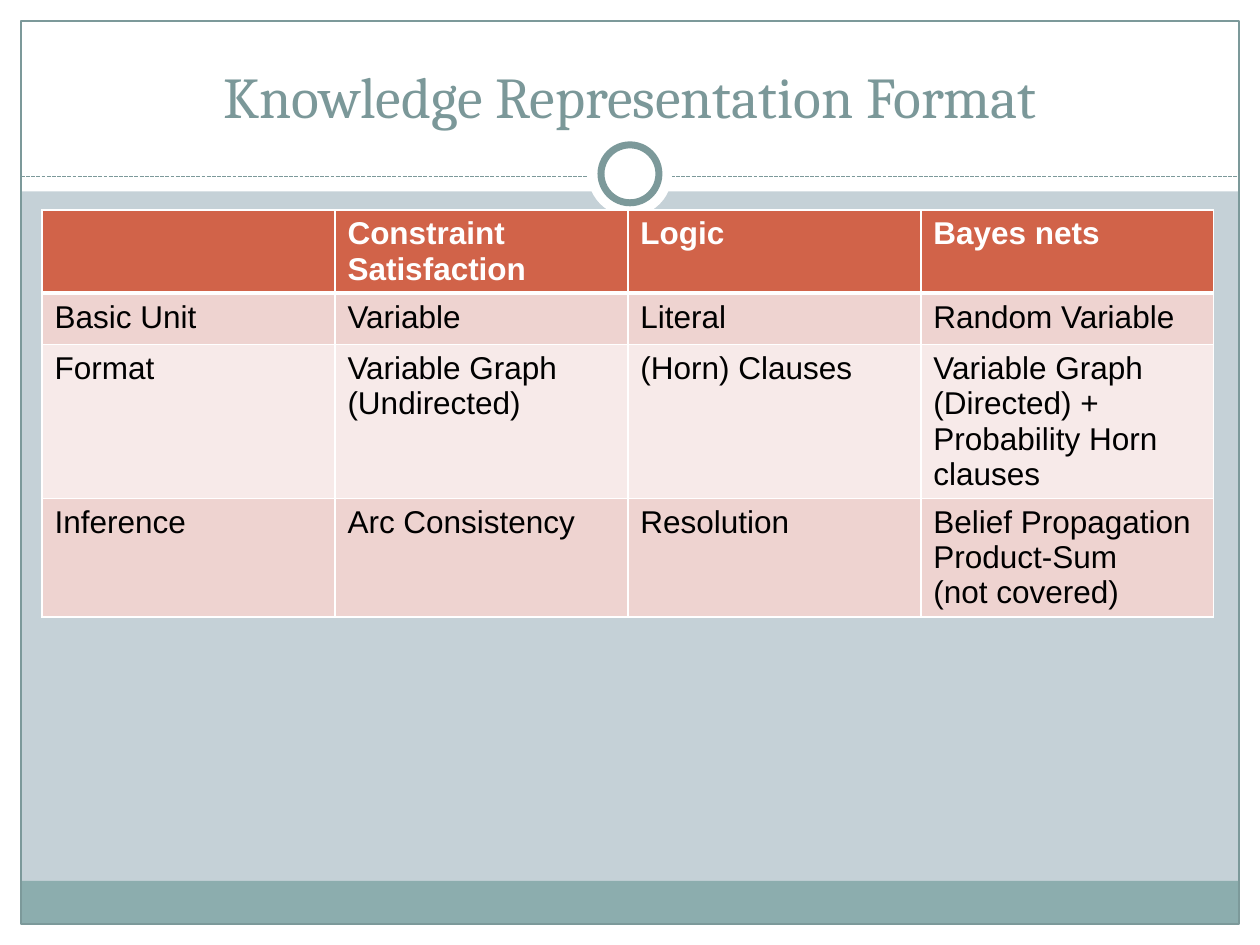
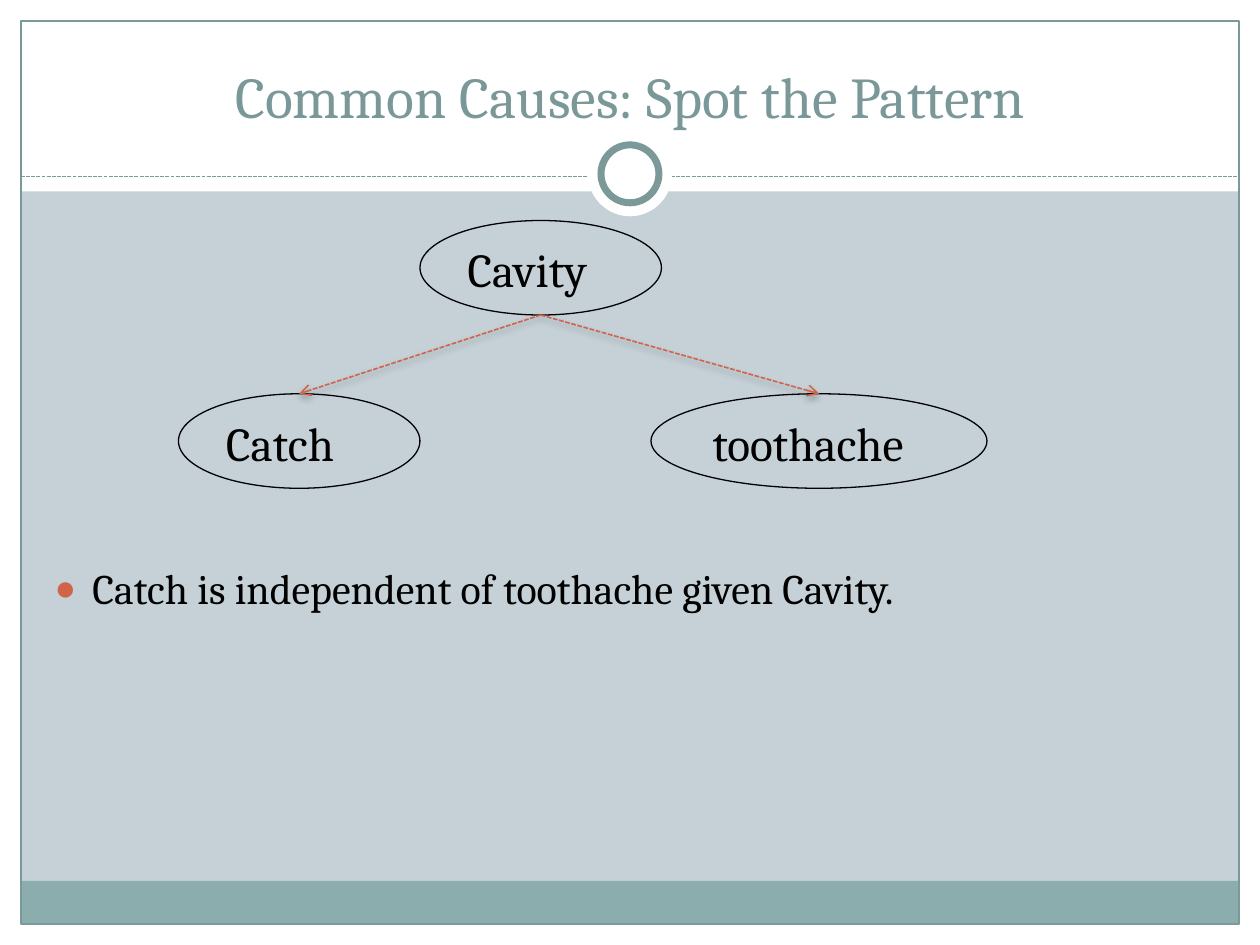
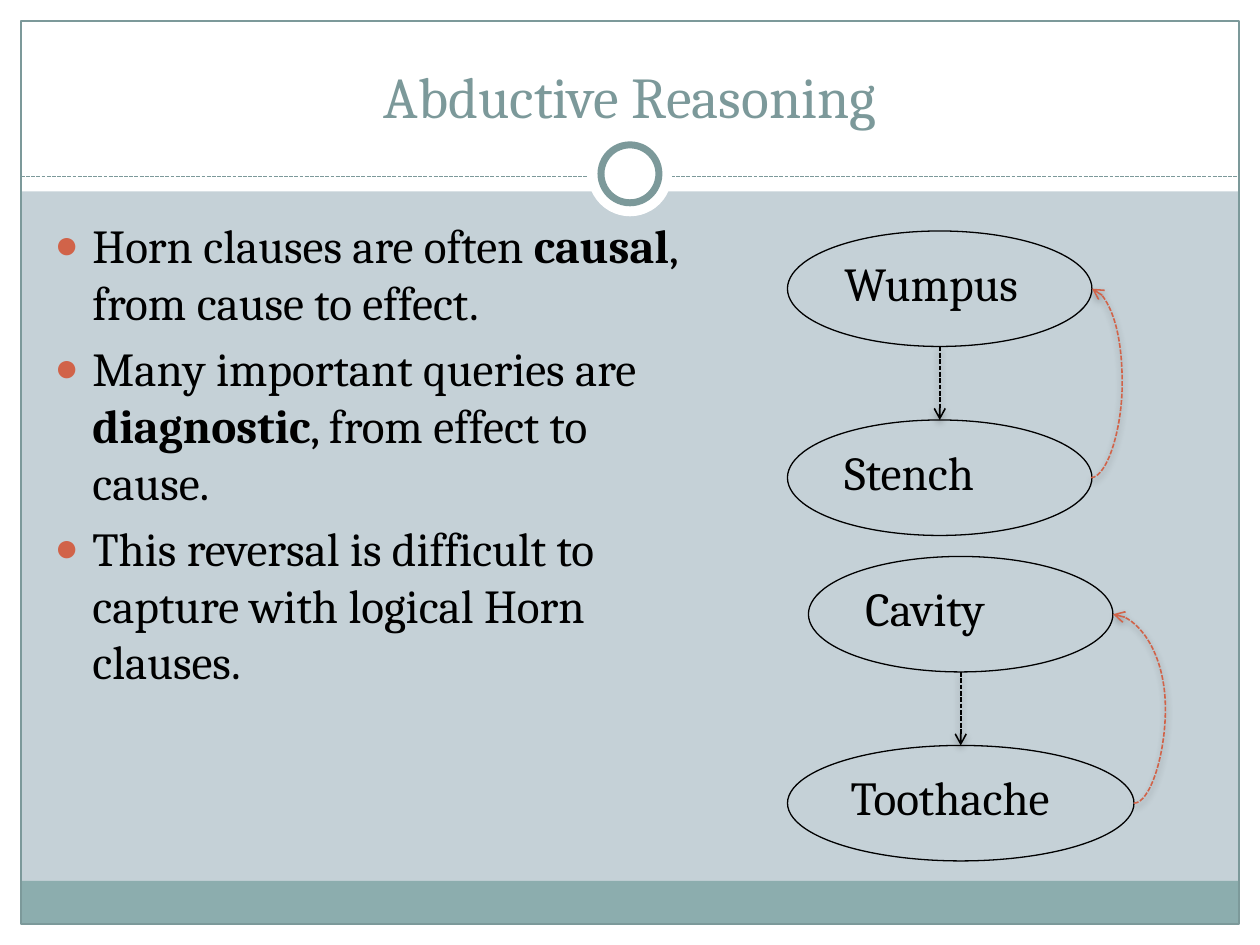
from dataclasses import dataclass

from pptx import Presentation
from pptx.dml.color import RGBColor
from pptx.enum.dml import MSO_LINE
from pptx.enum.shapes import MSO_CONNECTOR, MSO_SHAPE
from pptx.enum.text import MSO_ANCHOR, MSO_AUTO_SIZE, PP_ALIGN
from pptx.oxml import parse_xml
from pptx.oxml.ns import nsdecls, qn
from pptx.util import Emu, Inches, Pt

RECTANGLE, OVAL = MSO_SHAPE.RECTANGLE, MSO_SHAPE.OVAL
STRAIGHT, CURVE = MSO_CONNECTOR.STRAIGHT, MSO_CONNECTOR.CURVE
SHORT_DASH = MSO_LINE.SQUARE_DOT
TOP, BOTTOM = MSO_ANCHOR.TOP, MSO_ANCHOR.BOTTOM
LEFT, CENTER = PP_ALIGN.LEFT, PP_ALIGN.CENTER
NO_AUTOFIT = MSO_AUTO_SIZE.NONE

WHITE = RGBColor(0xFF, 0xFF, 0xFF)
BLACK = RGBColor(0x00, 0x00, 0x00)
PALE_BLUE = RGBColor(0xC5, 0xD1, 0xD7)
TEAL = RGBColor(0x8C, 0xAD, 0xAE)
SLATE = RGBColor(0x7C, 0x99, 0x9A)
TITLE_SLATE = RGBColor(0x7B, 0x98, 0x99)
ORANGE = RGBColor(0xD1, 0x63, 0x49)
ROW_DARK = RGBColor(0xEE, 0xD3, 0xD0)
ROW_LIGHT = RGBColor(0xF7, 0xEA, 0xE9)

SERIF, SANS = "Cambria", "Arial"
COLUMNS, ROWS = 120, 90
SLIDE_WIDTH, SLIDE_HEIGHT = Inches(10), Inches(7.5)
INDENT = Inches(0.3)
BULGE = 3
MINIMUM_SPAN = 0.1


def across(columns: float) -> Emu:
    return Emu(round(SLIDE_WIDTH * columns / COLUMNS))


def down(rows: float) -> Emu:
    return Emu(round(SLIDE_HEIGHT * rows / ROWS))


@dataclass(frozen=True)
class Box:
    left: float
    top: float
    width: float
    height: float

    def lengths(self) -> tuple:
        return across(self.left), down(self.top), across(self.width), down(self.height)

    def top_center(self) -> tuple:
        return self.left + self.width / 2, self.top

    def bottom_center(self) -> tuple:
        return self.left + self.width / 2, self.top + self.height

    def right_middle(self) -> tuple:
        return self.left + self.width, self.top + self.height / 2


@dataclass(frozen=True)
class Panel:
    box: Box
    fill: RGBColor | None = None
    line: RGBColor | None = None
    line_width: float = 0.75
    geometry: int = RECTANGLE


@dataclass(frozen=True)
class Node:
    text: str
    box: Box


@dataclass(frozen=True)
class Piece:
    text: str
    bold: bool = False


BANDS = (
    Panel(Box(0, 88, 120, 2), WHITE),
    Panel(Box(0, 0, 120, 18.24), WHITE),
    Panel(Box(0, 0, 2, 90), WHITE),
    Panel(Box(118, 0, 2, 90), WHITE),
    Panel(Box(2, 83.9, 116, 4.1), TEAL),
    Panel(Box(2, 2, 116, 86), line=SLATE),
)
RINGS = (
    Panel(Box(56, 12.6, 8, 8), WHITE, geometry=OVAL),
    Panel(Box(57.24, 13.8, 5.52, 5.52), WHITE, SLATE, 4, OVAL),
)
DIVIDER_ROW = 16.8
TITLE_BOX = Box(4, 3, 112, 10)
TABLE_BOX = Box(4, 20, 111.6, 40.9)
TABLE_ROW = 4.9

FORMATS = (
    ("", "Constraint Satisfaction", "Logic", "Bayes nets"),
    ("Basic Unit", "Variable", "Literal", "Random Variable"),
    ("Format", "Variable Graph\v(Undirected)", "(Horn) Clauses",
     "Variable Graph\v(Directed) +\nProbability Horn clauses"),
    ("Inference", "Arc Consistency", "Resolution",
     "Belief Propagation\vProduct-Sum\v(not covered)"),
)


def draw_panel(slide, panel: Panel):
    shape = slide.shapes.add_shape(panel.geometry, *panel.box.lengths())
    shape.shadow.inherit = False
    if panel.fill is None:
        shape.fill.background()
    else:
        shape.fill.solid()
        shape.fill.fore_color.rgb = panel.fill
    if panel.line is None:
        shape.line.fill.background()
    else:
        shape.line.color.rgb = panel.line
        shape.line.width = Pt(panel.line_width)
    return shape


def draw_dashed_line(slide, kind: int, begin: tuple, end: tuple, color: RGBColor, width: float):
    connector = slide.shapes.add_connector(
        kind, across(begin[0]), down(begin[1]), across(end[0]), down(end[1]))
    connector.line.color.rgb = color
    connector.line.width = Pt(width)
    connector.line.dash_style = SHORT_DASH
    connector.element.spPr.append(parse_xml(f"<a:effectLst {nsdecls('a')}/>"))
    return connector


def draw_arrow(slide, begin: tuple, end: tuple, color: RGBColor, kind: int = STRAIGHT):
    connector = draw_dashed_line(slide, kind, begin, end, color, 0.9)
    properties = connector.element.spPr
    properties.find(qn("a:ln")).append(parse_xml(f'<a:tailEnd {nsdecls("a")} type="arrow"/>'))
    properties.find(qn("a:effectLst")).append(parse_xml(
        f'<a:outerShdw {nsdecls("a")} blurRad="{Pt(4)}" dist="{Pt(2)}" dir="5400000" '
        'rotWithShape="0"><a:srgbClr val="000000"><a:alpha val="35000"/></a:srgbClr>'
        "</a:outerShdw>"))
    return connector


def draw_return_arrow(slide, effect: Node, cause: Node) -> None:
    begin, end = effect.box.right_middle(), cause.box.right_middle()
    if begin[0] == end[0]:
        begin = (begin[0] - MINIMUM_SPAN, begin[1])
    connector = draw_arrow(slide, begin, end, ORANGE, CURVE)
    adjustment = round(100000 * BULGE / (end[0] - begin[0]))
    geometry = connector.element.spPr.find(qn("a:prstGeom"))
    for guides in geometry.findall(qn("a:avLst")):
        geometry.remove(guides)
    geometry.append(parse_xml(
        f'<a:avLst {nsdecls("a")}><a:gd name="adj1" fmla="val {adjustment}"/></a:avLst>'))


def format_paragraph(paragraph, name: str, size: float, color: RGBColor) -> None:
    for run in paragraph.runs:
        run.font.name = name
        run.font.size = Pt(size)
        run.font.color.rgb = color


def draw_node(slide, node: Node) -> None:
    shape = draw_panel(slide, Panel(node.box, line=BLACK, geometry=OVAL))
    text_frame = shape.text_frame
    text_frame.text = node.text
    text_frame.word_wrap = True
    text_frame.vertical_anchor = TOP
    paragraph = text_frame.paragraphs[0]
    paragraph.alignment = LEFT
    set_hanging_indent(paragraph)
    format_paragraph(paragraph, SERIF, 27, BLACK)


def set_hanging_indent(paragraph):
    properties = paragraph._p.get_or_add_pPr()
    properties.set("marL", str(INDENT))
    properties.set("indent", str(-INDENT))
    return properties


def place(shape, box: Box) -> None:
    shape.left, shape.top, shape.width, shape.height = box.lengths()


def fill_title(slide, text: str, color: RGBColor = TITLE_SLATE) -> None:
    title = slide.shapes.title
    place(title, TITLE_BOX)
    text_frame = title.text_frame
    text_frame.text = text
    text_frame.auto_size = NO_AUTOFIT
    text_frame.vertical_anchor = BOTTOM
    text_frame.paragraphs[0].alignment = CENTER
    format_paragraph(text_frame.paragraphs[0], SERIF, 33, color)


def fill_bullets(slide, box: Box, bullets: tuple, size: float) -> None:
    body = slide.placeholders[1]
    place(body, box)
    text_frame = body.text_frame
    text_frame.auto_size = NO_AUTOFIT
    for index, pieces in enumerate(bullets):
        paragraph = text_frame.add_paragraph() if index else text_frame.paragraphs[0]
        for piece in pieces:
            run = paragraph.add_run()
            run.text = piece.text
            run.font.bold = piece.bold
        format_paragraph(paragraph, SERIF, size, BLACK)
        properties = set_hanging_indent(paragraph)
        for markup in (
            f'<a:buClr {nsdecls("a")}><a:srgbClr val="{ORANGE}"/></a:buClr>',
            f'<a:buSzPct {nsdecls("a")} val="85000"/>',
            f'<a:buChar {nsdecls("a")} char="●"/>',
        ):
            properties.append(parse_xml(markup))


def set_borders(cell, bottom_width: float) -> None:
    properties = cell._tc.get_or_add_tcPr()
    widths = {"lnL": 1, "lnR": 1, "lnT": 1, "lnB": bottom_width}
    for index, (side, width) in enumerate(widths.items()):
        properties.insert(index, parse_xml(
            f'<a:{side} {nsdecls("a")} w="{Pt(width)}"><a:solidFill>'
            f'<a:srgbClr val="{WHITE}"/></a:solidFill></a:{side}>'))


def draw_table(slide, rows: tuple) -> None:
    frame = slide.shapes.add_table(len(rows), len(rows[0]), *TABLE_BOX.lengths())
    table = frame.table
    for row_index, texts in enumerate(rows):
        header = row_index == 0
        fill = ORANGE if header else ROW_DARK if row_index % 2 else ROW_LIGHT
        table.rows[row_index].height = down(TABLE_ROW)
        for column_index, text in enumerate(texts):
            cell = table.cell(row_index, column_index)
            cell.text = text
            cell.fill.solid()
            cell.fill.fore_color.rgb = fill
            set_borders(cell, 3 if header else 1)
            for paragraph in cell.text_frame.paragraphs:
                format_paragraph(paragraph, SANS, 18, WHITE if header else BLACK)
                for run in paragraph.runs:
                    run.font.bold = header
    frame.height = down(TABLE_BOX.height)


def build_master(master, slide) -> None:
    master.background.fill.solid()
    master.background.fill.fore_color.rgb = PALE_BLUE
    shapes = [draw_panel(slide, panel) for panel in BANDS]
    shapes.append(draw_dashed_line(
        slide, STRAIGHT, (2, DIVIDER_ROW), (118, DIVIDER_ROW), SLATE, 0.75))
    shapes.extend(draw_panel(slide, panel) for panel in RINGS)
    for index, shape in enumerate(shapes):
        next(shape.element.iter(qn("p:cNvPr"))).set("id", str(100 + index))
        master.shapes.element.insert(2 + index, shape.element)


def build_formats(slide) -> None:
    fill_title(slide, "Knowledge Representation Format")
    draw_table(slide, FORMATS)


def build_common_causes(slide) -> None:
    fill_title(slide, "Common Causes: Spot the Pattern")
    cause = Node("Cavity", Box(40, 21, 23, 9))
    effects = (Node("Catch", Box(17, 37.5, 23, 9)), Node("toothache", Box(62, 37.5, 32, 9)))
    for node in (cause, *effects):
        draw_node(slide, node)
    for effect in effects:
        draw_arrow(slide, cause.box.bottom_center(), effect.box.top_center(), ORANGE)
    bullets = ((Piece("Catch is independent of toothache given Cavity."),),)
    fill_bullets(slide, Box(4, 53, 111.6, 29), bullets, 24)


def build_abduction(slide) -> None:
    fill_title(slide, "Abductive Reasoning", SLATE)
    bullets = (
        (Piece("Horn clauses are often "), Piece("causal", True),
         Piece(", from cause to effect.")),
        (Piece("Many important queries are "), Piece("diagnostic", True),
         Piece(", from effect to cause.")),
        (Piece("This reversal is difficult to capture with logical Horn clauses."),),
    )
    fill_bullets(slide, Box(4, 20, 63, 60), bullets, 27)
    pairs = (
        (Node("Wumpus", Box(75, 22, 29, 11)), Node("Stench", Box(75, 40, 29, 11))),
        (Node("Cavity", Box(77, 53, 29, 11)), Node("Toothache", Box(75, 71, 33, 11))),
    )
    for cause, effect in pairs:
        draw_node(slide, cause)
        draw_node(slide, effect)
        draw_arrow(slide, cause.box.bottom_center(), effect.box.top_center(), BLACK)
        draw_return_arrow(slide, effect, cause)


def main() -> None:
    presentation = Presentation()
    presentation.slide_width, presentation.slide_height = SLIDE_WIDTH, SLIDE_HEIGHT
    content_layout, title_layout = presentation.slide_layouts[1], presentation.slide_layouts[5]
    formats = presentation.slides.add_slide(title_layout)
    build_master(presentation.slide_master, formats)
    build_formats(formats)
    build_common_causes(presentation.slides.add_slide(content_layout))
    build_abduction(presentation.slides.add_slide(content_layout))
    presentation.save("out.pptx")


main()
